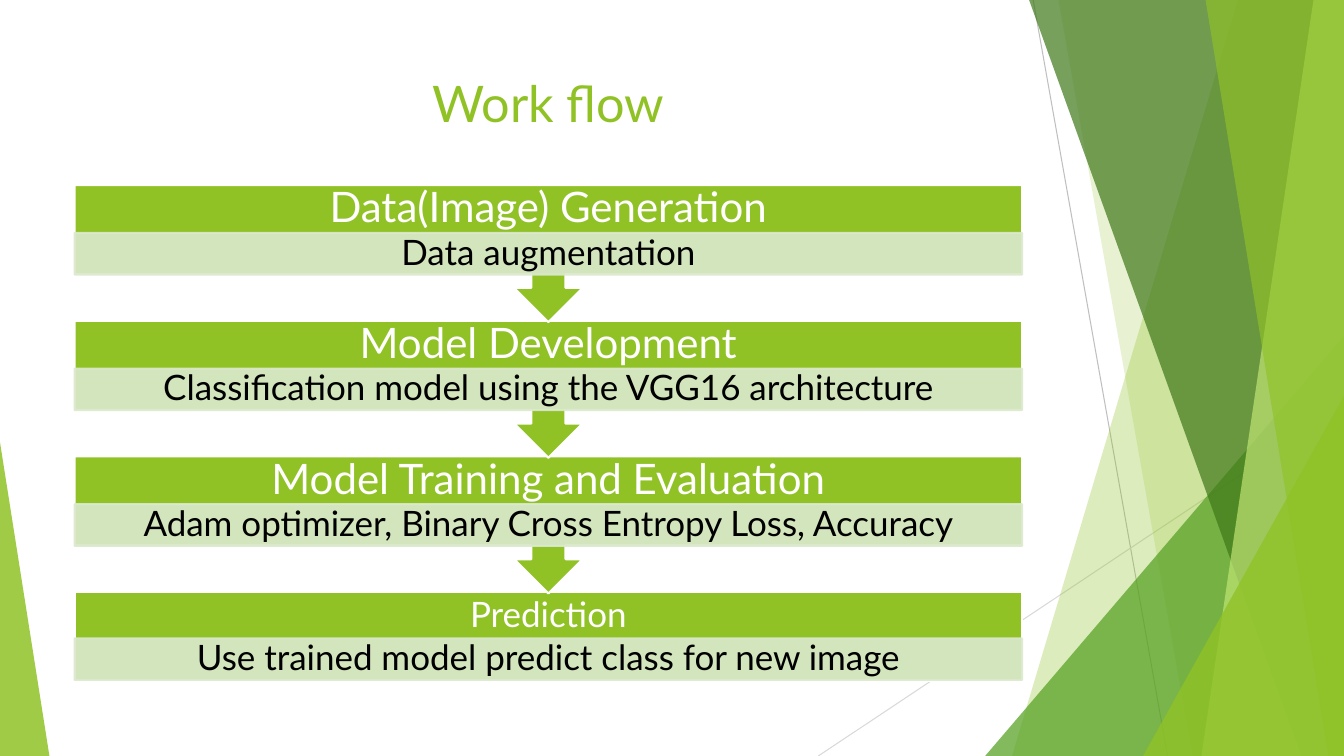
from lxml import etree
from pptx import Presentation
from pptx.dml.color import RGBColor
from pptx.enum.shapes import MSO_CONNECTOR, MSO_SHAPE
from pptx.enum.text import MSO_ANCHOR, PP_ALIGN
from pptx.oxml.ns import qn
from pptx.util import Pt

TITLE_ONLY = 5
STRAIGHT = MSO_CONNECTOR.STRAIGHT
RECTANGLE = MSO_SHAPE.RECTANGLE
TRIANGLE = MSO_SHAPE.ISOSCELES_TRIANGLE
CALLOUT = MSO_SHAPE.UP_ARROW_CALLOUT
CENTER = PP_ALIGN.CENTER
TOP = MSO_ANCHOR.TOP
MIDDLE = MSO_ANCHOR.MIDDLE

WIDTH, HEIGHT = 960, 540
GREEN, PALE, WHITE, BLACK = "90C226", "DBE9CD", "FFFFFF", "000000"

RAYS = [(738, 0, 834, 540, "BFBFBF"), (960, 290, 584.5, 540, "D9D9D9")]
PANELS_BEHIND = [(884.2, 722.9, GREEN, 30), (756, 851.8, GREEN, 20)]
PANELS_FRONT = [
    (735.1, 929.5, "3F7819", 70),
    (938.2, 858.2, "C0E474", 70),
    (861.1, 949, GREEN, 65),
]

STEPS = [
    ("Data(Image) Generation", "Data augmentation"),
    ("Model Development", "Classification model using the VGG16 architecture"),
    ("Model Training and Evaluation", "Adam optimizer, Binary Cross Entropy Loss, Accuracy"),
    ("Prediction", "Use trained model predict class for new image"),
]
STEP_LEFT, STEP_WIDTH = 53.3, 676.8
FIRST_TOP, PITCH = 132.2, 96.9
CALLOUT_HEIGHT, LAST_HEIGHT = 97.9, 63.4
HEAD_HEIGHT, DETAIL_HEIGHT = 34.4, 29.7


def color(value):
    return RGBColor.from_string(value)


class SlideBuilder:
    font = "Lato"

    def __init__(self, slide):
        self.slide = slide
        self.shapes = slide.shapes

    def paint(self, fill, value, opacity=100):
        fill.solid()
        fill.fore_color.rgb = color(value)
        if opacity < 100:
            for node in fill._xPr.iter(qn("a:srgbClr")):
                etree.SubElement(node, qn("a:alpha")).set("val", str(opacity * 1000))

    def finish(self, shape, fill, opacity=100, line=None):
        shape.shadow.inherit = False
        if line:
            shape.line.width = Pt(1.5)
            self.paint(shape.line.fill, line, opacity)
        else:
            shape.line.fill.background()
        shape.fill.solid()
        self.paint(shape.fill, fill)
        if opacity < 100:
            node = shape._element.spPr.find(qn("a:solidFill")).find(qn("a:srgbClr"))
            etree.SubElement(node, qn("a:alpha")).set("val", str(opacity * 1000))
        return shape

    def shape(self, kind, left, top, width, height, fill, opacity=100, line=None):
        shape = self.shapes.add_shape(kind, Pt(left), Pt(top), Pt(width), Pt(height))
        return self.finish(shape, fill, opacity, line)

    def triangle(self, left, top, width, height, apex, fill, opacity):
        shape = self.shape(TRIANGLE, left, top, width, height, fill, opacity)
        shape.adjustments[0] = apex

    def panel(self, top_x, bottom_x, fill, opacity):
        outline = self.shapes.build_freeform(Pt(top_x), 0)
        corners = [(WIDTH, 0), (WIDTH, HEIGHT), (bottom_x, HEIGHT)]
        outline.add_line_segments([(Pt(x), Pt(y)) for x, y in corners], close=True)
        self.finish(outline.convert_to_shape(), fill, opacity)

    def line(self, x1, y1, x2, y2, value):
        line = self.shapes.add_connector(STRAIGHT, Pt(x1), Pt(y1), Pt(x2), Pt(y2))
        line.line.color.rgb = color(value)
        line.line.width = Pt(0.75)
        etree.SubElement(line._element.spPr, qn("a:effectLst"))

    def text(self, box, words, size, value, anchor, spacing):
        frame = box.text_frame
        frame.word_wrap = True
        frame.vertical_anchor = anchor
        para = frame.paragraphs[0]
        para.alignment = CENTER
        para.line_spacing = spacing
        span = para.add_run()
        span.text = words
        span.font.name = self.font
        span.font.size = Pt(size)
        span.font.color.rgb = color(value)

    def title(self, words, left, top, width, height):
        box = self.shapes.title
        box.left, box.top, box.width, box.height = Pt(left), Pt(top), Pt(width), Pt(height)
        self.text(box, words, 36, GREEN, TOP, 1.0)

    def label(self, words, left, top, width, height, size, value):
        box = self.shapes.add_textbox(Pt(left), Pt(top), Pt(width), Pt(height))
        frame = box.text_frame
        frame.margin_left = frame.margin_right = Pt(13.7)
        frame.margin_top = frame.margin_bottom = 0
        self.text(box, words, size, value, MIDDLE, 0.9)

    def step(self, top, heading, detail, last):
        if last:
            self.shape(RECTANGLE, STEP_LEFT, top, STEP_WIDTH, LAST_HEIGHT, GREEN, line=WHITE)
        else:
            callout = self.shape(CALLOUT, STEP_LEFT, top, STEP_WIDTH, CALLOUT_HEIGHT, GREEN, line=WHITE)
            callout.rotation = 180
        size = 25 if last else 30
        self.label(heading, STEP_LEFT, top, STEP_WIDTH, HEAD_HEIGHT, size, WHITE)
        detail_top = top + (33.1 if last else 34.2)
        area = (STEP_LEFT, detail_top, STEP_WIDTH, DETAIL_HEIGHT)
        self.shape(RECTANGLE, *area, PALE, 90, PALE)
        self.label(detail, *area, 25, BLACK)


def main():
    deck = Presentation()
    deck.slide_width, deck.slide_height = Pt(WIDTH), Pt(HEIGHT)
    page = SlideBuilder(deck.slides.add_slide(deck.slide_layouts[TITLE_ONLY]))

    for ray in RAYS:
        page.line(*ray)
    for panel in PANELS_BEHIND:
        page.panel(*panel)
    page.triangle(703.7, 240, 256.3, 300, 1, "54A021", 72)
    for panel in PANELS_FRONT:
        page.panel(*panel)
    page.triangle(816.5, 283, 143.5, 257, 1, GREEN, 80)
    page.triangle(0, 316, 35.3, 224, 0, GREEN, 85)

    page.title("Work flow", STEP_LEFT, 48.2, STEP_WIDTH, 56.9)
    for index, (heading, detail) in reversed(list(enumerate(STEPS))):
        page.step(FIRST_TOP + index * PITCH, heading, detail, index == len(STEPS) - 1)

    deck.save("out.pptx")


if __name__ == "__main__":
    main()
